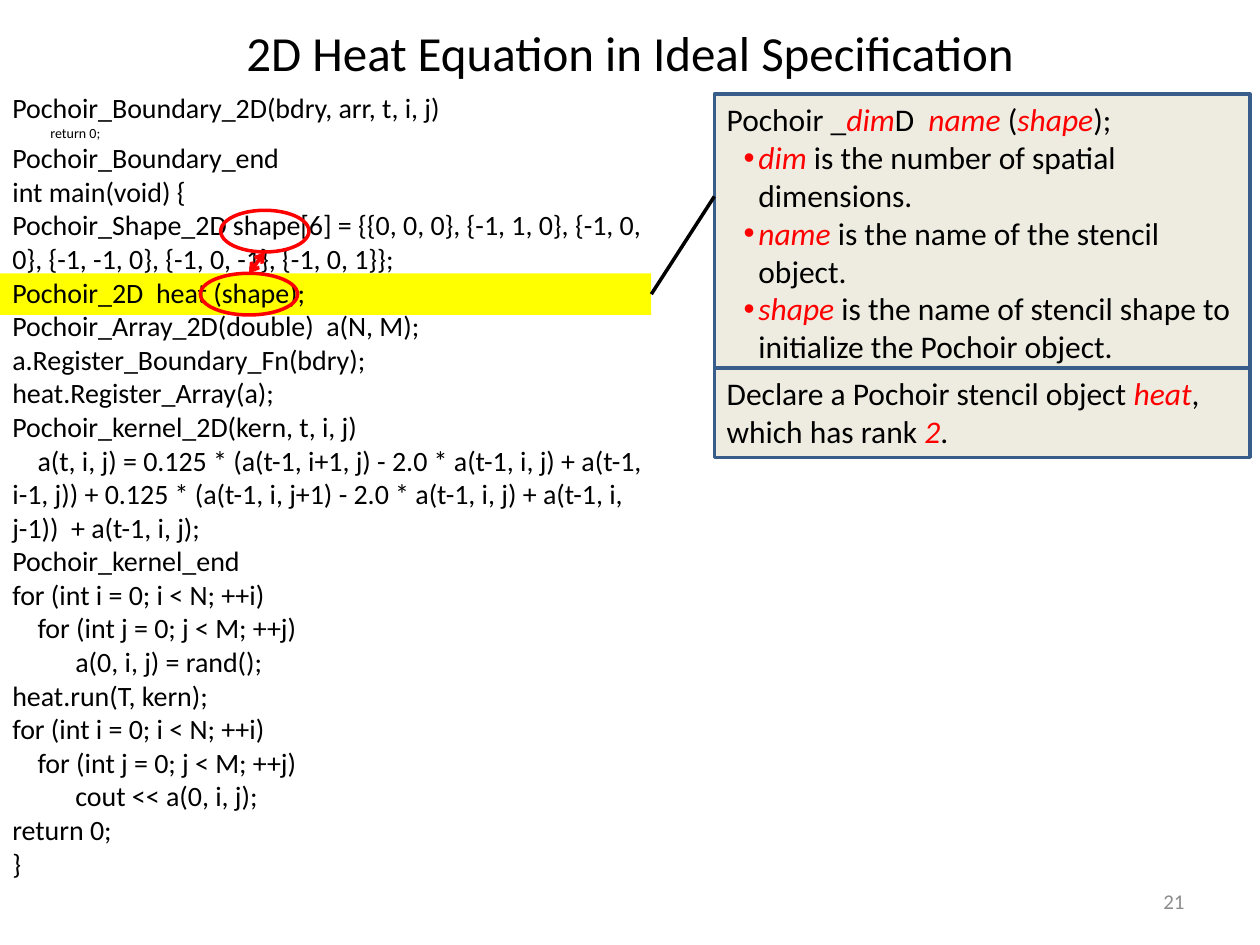
"""Build the slide that explains how a 2D heat stencil object is declared."""
import pptx
import pptx.dml.color
import pptx.enum.shapes
import pptx.enum.text
import pptx.oxml.ns
import pptx.util
from lxml import etree

Cm = pptx.util.Cm
Pt = pptx.util.Pt
SHAPE = pptx.enum.shapes.MSO_SHAPE
ALIGN = pptx.enum.text.PP_ALIGN
ANCHOR = pptx.enum.text.MSO_ANCHOR
FIT = pptx.enum.text.MSO_AUTO_SIZE

COLOURS = {
    "text": "000000",
    "accent": "FF0000",
    "number": "8C8C8C",
    "highlight": "FFFF00",
    "panel": "EEECE1",
    "border": "385D8A",
}
FONT = "Calibri"
TITLE = "2D Heat Equation in Ideal Specification"
PAGE_NUMBER = "21"
CODE = [
    "Pochoir_Boundary_2D(bdry, arr, t, i, j)",
    "            return 0;",
    "Pochoir_Boundary_end",
    "int main(void) {",
    "Pochoir_Shape_2D shape[6] = {{0, 0, 0}, {-1, 1, 0}, {-1, 0, 0}, "
    "{-1, -1, 0}, {-1, 0, -1}, {-1, 0, 1}};",
    "Pochoir_2D  heat (shape);",
    "Pochoir_Array_2D(double)  a(N, M);",
    "a.Register_Boundary_Fn(bdry);",
    "heat.Register_Array(a);",
    "Pochoir_kernel_2D(kern, t, i, j)",
    "    a(t, i, j) = 0.125 * (a(t-1, i+1, j) - 2.0 * a(t-1, i, j) + a(t-1, i-1, j)) "
    "+ 0.125 * (a(t-1, i, j+1) - 2.0 * a(t-1, i, j) + a(t-1, i, j-1))  + a(t-1, i, j);",
    "Pochoir_kernel_end",
    "for (int i = 0; i < N; ++i)",
    "    for (int j = 0; j < M; ++j)",
    "          a(0, i, j) = rand();",
    "heat.run(T, kern);",
    "for (int i = 0; i < N; ++i)",
    "    for (int j = 0; j < M; ++j)",
    "          cout << a(0, i, j);",
    "return 0;",
    "}",
]
SMALL_LINE = 1
SYNTAX = "Pochoir _|dim|D  |name |(|shape|);"
TERMS = [
    "|dim| is the number of spatial dimensions.",
    "|name |is the name of the stencil object.",
    "|shape| is the name of stencil shape to initialize the Pochoir object.",
]
SUMMARY = "Declare a Pochoir stencil object |heat|, which has rank |2|."

TITLE_AREA = (1.27, 0, 22.86, 2.11)
NUMBER_AREA = (18.21, 17.65, 5.92, 1.02)
CODE_AREA = (0, 1.7, 13.77, 16.33)
HIGHLIGHT_AREA = (0, 5.51, 13.13, 0.84)
SYNTAX_AREA = (14.4, 1.9, 10.8, 5.64)
SUMMARY_AREA = (14.4, 7.42, 10.8, 1.8)
DEFINED_AREA = (4.45, 4.24, 1.78, 0.84)
USED_AREA = (4.04, 5.51, 1.96, 0.84)
CALLOUT_END = (14.4, 3.96)


def rgb(name):
    """Return the named colour."""
    return pptx.dml.color.RGBColor.from_string(COLOURS[name])


def lengths(values):
    """Return centimetre values as lengths."""
    return [Cm(value) for value in values]


def write(para, text, size=18, colour="text", align=ALIGN.LEFT, bullet=False):
    """Write text into a paragraph, with the parts between bars emphasised."""
    if bullet:
        properties = para._p.get_or_add_pPr()
        properties.set("marL", str(Cm(0.64)))
        properties.set("indent", str(-Cm(0.3)))
        properties.set("lvl", "1")
        for tag, key, value in (("a:buFont", "typeface", "Arial"), ("a:buChar", "char", "•")):
            etree.SubElement(properties, pptx.oxml.ns.qn(tag)).set(key, value)
        if text.startswith("|"):
            para.font.color.rgb = rgb("accent")
    para.alignment = align
    para.font.size = Pt(size)
    for index, part in enumerate(text.split("|")):
        if part:
            emphasised = index % 2 == 1
            span = para.add_run()
            span.text = part
            span.font.name = FONT
            span.font.size = Pt(size)
            span.font.italic = emphasised
            span.font.color.rgb = rgb("accent" if emphasised else colour)


def write_all(frame, lines, anchor=ANCHOR.TOP, fit=FIT.SHAPE_TO_FIT_TEXT):
    """Fill a text frame with lines given as text and format."""
    frame.word_wrap = True
    frame.auto_size = fit
    frame.vertical_anchor = anchor
    for index, (text, style) in enumerate(lines):
        para = frame.add_paragraph() if index else frame.paragraphs[0]
        write(para, text, **style)


def add_box(page, kind, area, fill=None, border=None):
    """Add a flat shape with an optional fill and border."""
    box = page.shapes.add_shape(kind, *lengths(area))
    box.shadow.inherit = False
    if fill:
        box.fill.solid()
        box.fill.fore_color.rgb = rgb(fill)
    else:
        box.fill.background()
    if border:
        box.line.color.rgb = rgb(border)
        box.line.width = Pt(2)
    else:
        box.line.fill.background()
    return box


def add_line(page, start, end, colour, arrows=False):
    """Add a straight line, with arrowheads at both ends on request."""
    line = page.shapes.add_connector(
        pptx.enum.shapes.MSO_CONNECTOR.STRAIGHT, *lengths(start + end))
    line.line.color.rgb = rgb(colour)
    line.line.width = Pt(2)
    if arrows:
        outline = line.line._get_or_add_ln()
        for tag in ("a:headEnd", "a:tailEnd"):
            etree.SubElement(outline, pptx.oxml.ns.qn(tag)).set("type", "arrow")
    etree.SubElement(line._element.spPr, pptx.oxml.ns.qn("a:effectLst"))
    return line


def main():
    """Build and save the deck."""
    deck = pptx.Presentation()
    deck.slide_width, deck.slide_height = Cm(25.4), Cm(19.05)
    page = deck.slides.add_slide(deck.slide_layouts[5])

    title = page.shapes.title
    title.left, title.top, title.width, title.height = lengths(TITLE_AREA)
    write_all(title.text_frame, [(TITLE, {"size": 28, "align": ALIGN.CENTER})],
              anchor=ANCHOR.MIDDLE, fit=FIT.NONE)

    number = page.shapes.add_textbox(*lengths(NUMBER_AREA))
    number_style = {"size": 12, "colour": "number", "align": ALIGN.RIGHT}
    write_all(number.text_frame, [(PAGE_NUMBER, number_style)],
              anchor=ANCHOR.MIDDLE, fit=FIT.NONE)

    highlight = add_box(page, SHAPE.RECTANGLE, HIGHLIGHT_AREA, fill="highlight")
    panels = (
        (SYNTAX_AREA, [(SYNTAX, {})] + [(term, {"bullet": True}) for term in TERMS]),
        (SUMMARY_AREA, [(SUMMARY, {})]),
    )
    for area, lines in panels:
        panel = add_box(page, SHAPE.RECTANGLE, area, fill="panel", border="border")
        write_all(panel.text_frame, lines)

    left, top, width, height = HIGHLIGHT_AREA
    callout = add_line(page, (left + width, top + height / 2), CALLOUT_END, "text")
    callout.begin_connect(highlight, 3)

    code = page.shapes.add_textbox(*lengths(CODE_AREA))
    write_all(code.text_frame, [(line, {"size": 8 if index == SMALL_LINE else 16})
                                for index, line in enumerate(CODE)])

    for area in (DEFINED_AREA, USED_AREA):
        add_box(page, SHAPE.OVAL, area, border="accent")
    left, top, width, height = DEFINED_AREA
    used_left, used_top, used_width, _ = USED_AREA
    add_line(page, (left + width / 2, top + height),
             (used_left + used_width / 2, used_top), "accent", arrows=True)

    deck.save("out.pptx")


if __name__ == "__main__":
    main()
